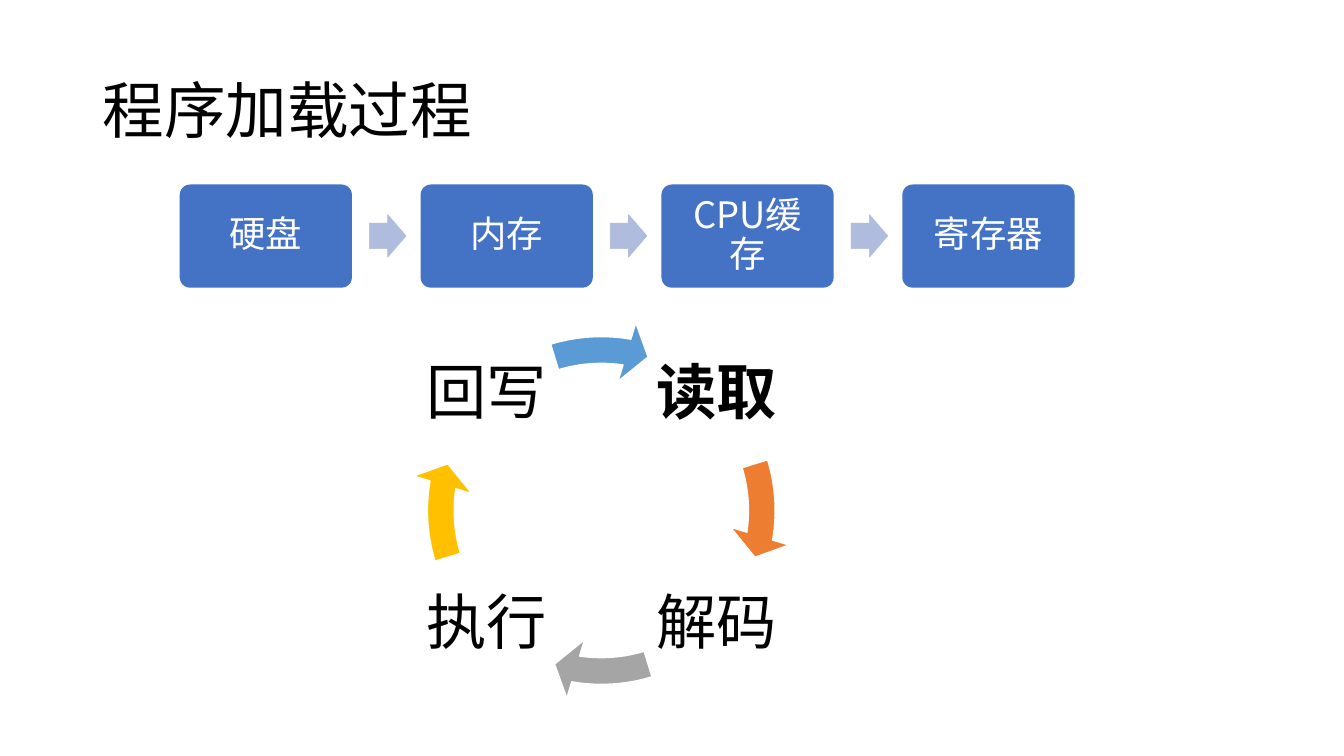
"""Build the slide on how a program is loaded and run through the CPU cycle."""
from dataclasses import dataclass

from lxml import etree
from pptx import Presentation
from pptx.dml.color import RGBColor
from pptx.enum import shapes, text
from pptx.oxml import ns
from pptx.util import Cm, Pt


@dataclass(frozen=True)
class Theme:
    font: str = "Noto Sans CJK SC"
    ink: str = "000000"
    paper: str = "FFFFFF"
    storage: str = "4472C4"
    transfer: str = "B0BCDE"
    cycle: tuple = ("ED7D31", "A5A5A5", "FFC000", "5B9BD5")
    title_size: int = 44
    storage_size: int = 26
    cycle_size: int = 43


theme = Theme()


def write(shape, words, size, color, align, inset=None, bold=False):
    frame = shape.text_frame
    frame_format = {"word_wrap": True, "auto_size": text.MSO_AUTO_SIZE.NONE,
                    "vertical_anchor": text.MSO_ANCHOR.MIDDLE}
    if inset is not None:
        for side in ("left", "top", "right", "bottom"):
            frame_format[f"margin_{side}"] = Cm(inset)
    for name, value in frame_format.items():
        setattr(frame, name, value)
    paragraph = frame.paragraphs[0]
    paragraph.alignment = align
    paragraph.line_spacing = 0.9
    run = paragraph.add_run()
    run.text = words
    for name, value in {"name": theme.font, "size": Pt(size), "bold": bold}.items():
        setattr(run.font, name, value)
    run.font.color.rgb = RGBColor.from_string(color)
    etree.SubElement(run.font._element, ns.qn("a:ea"), typeface=theme.font)


def draw(preset, box, fill, adjustments, line=None, line_width=1):
    shape = slide.shapes.add_shape(preset, *map(Cm, box))
    shape.shadow.inherit = False
    shape.fill.solid()
    shape.fill.fore_color.rgb = RGBColor.from_string(fill)
    for index, value in enumerate(adjustments):
        shape.adjustments[index] = value
    if line:
        shape.line.color.rgb = RGBColor.from_string(line)
        shape.line.width = Pt(line_width)
    else:
        shape.line.fill.background()
    return shape


deck = Presentation()
deck.slide_width, deck.slide_height = Cm(33.87), Cm(19.05)
slide = deck.slides.add_slide(deck.slide_layouts[5])

title = slide.shapes.title
for name, value in {"left": 2.33, "top": 1.01, "width": 29.21, "height": 3.68}.items():
    setattr(title, name, Cm(value))
write(title, "程序加载过程", theme.title_size, theme.ink, text.PP_ALIGN.LEFT)

stages = ["硬盘", "内存", "CPU缓存", "寄存器"]
stage_pitch = 6.07
for index, words in enumerate(stages):
    left = 4.53 + index * stage_pitch
    stage = draw(shapes.MSO_SHAPE.ROUNDED_RECTANGLE, (left, 4.65, 4.34, 2.6),
                 theme.storage, [0.1])
    write(stage, words, theme.storage_size, theme.paper, text.PP_ALIGN.CENTER, 0.28)
    if index < len(stages) - 1:
        draw(shapes.MSO_SHAPE.RIGHT_ARROW, (left + 4.78, 5.41, 0.92, 1.07),
             theme.transfer, [0.6, 0.5], theme.transfer, 0.5)

near_left, near_right, upper, lower = 10.57, 16.36, 8.26, 14.05
steps = [("读取", near_right, upper), ("解码", near_right, lower),
         ("执行", near_left, lower), ("回写", near_left, upper)]
quarter_turn, full_turn = 54, 216
for index, (words, left, top) in enumerate(steps):
    step = slide.shapes.add_textbox(Cm(left), Cm(top), Cm(3.4), Cm(3.4))
    write(step, words, theme.cycle_size, theme.ink, text.PP_ALIGN.CENTER, 0.15,
          bold=index == 0)
    turn = index * quarter_turn
    draw(shapes.MSO_SHAPE.CIRCULAR_ARROW, (10.34, 8.05, 9.63, 9.63), theme.cycle[index],
         [0.07, 4.65, 5.51 + turn, (205.84 + turn) % full_turn, 0.08], theme.paper)

deck.save("out.pptx")
